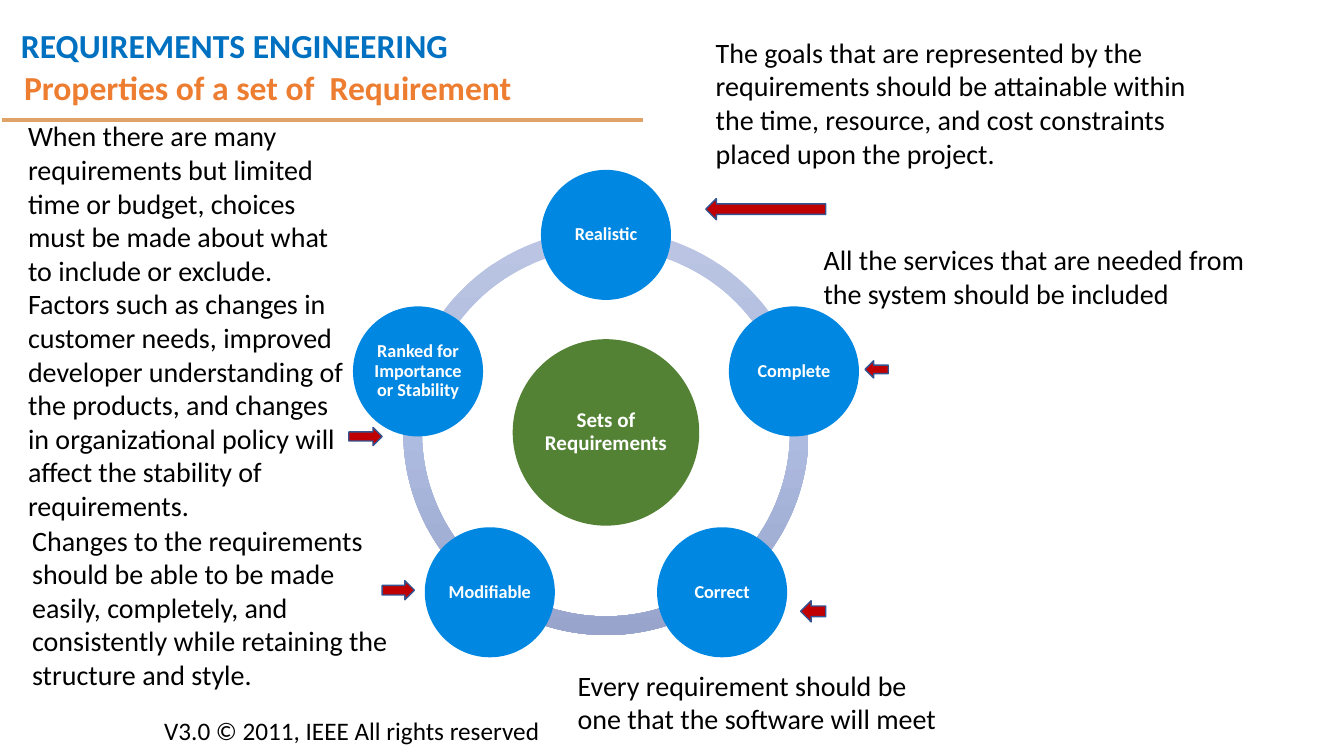
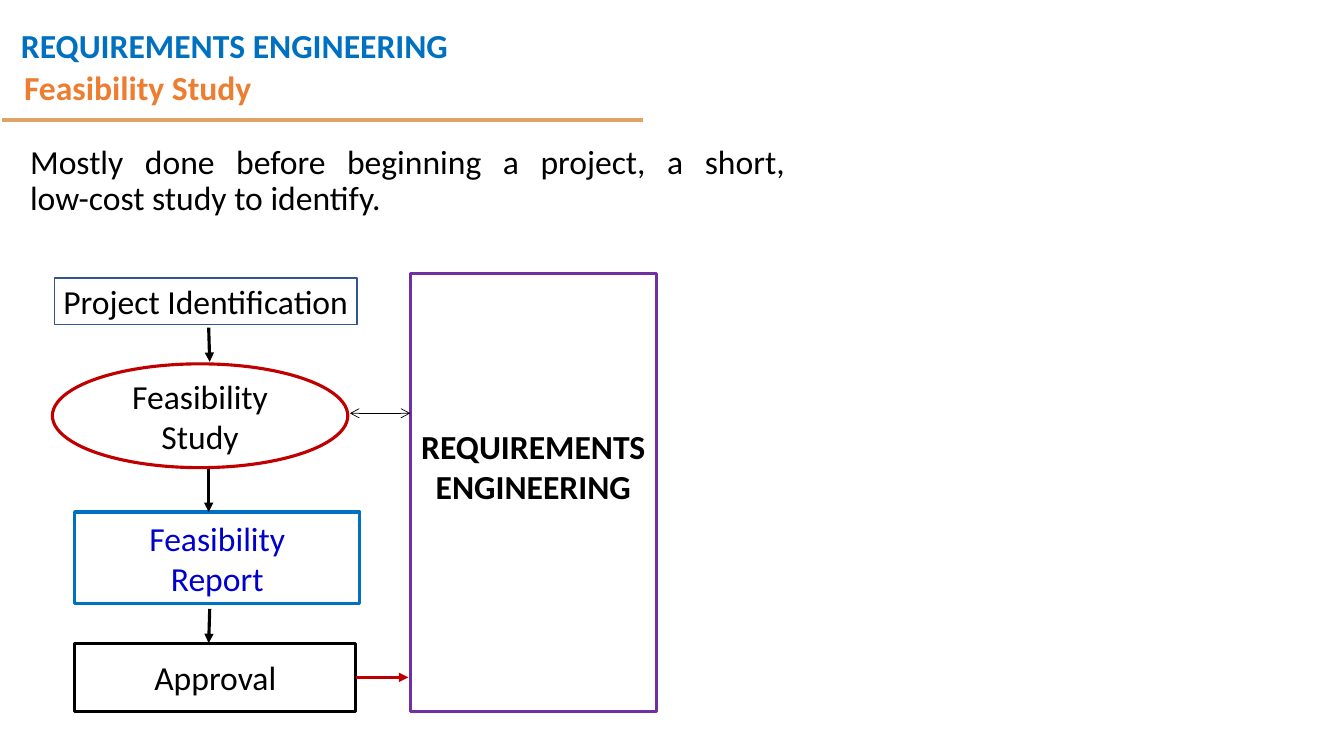
from copy import deepcopy
from dataclasses import dataclass
from math import cos, radians, sin

from lxml.etree import SubElement
from pptx import Presentation
from pptx.dml.color import RGBColor
from pptx.enum.shapes import MSO_CONNECTOR, MSO_SHAPE
from pptx.enum.text import MSO_ANCHOR, PP_ALIGN
from pptx.oxml.ns import qn
from pptx.util import Inches, Pt


@dataclass(frozen=True)
class Theme:
    font: str = "Calibri"
    # Colours
    black: str = "000000"
    white: str = "FFFFFF"
    course: str = "0070C0"
    title: str = "ED7D31"
    rule: str = "DFA267"
    node: str = "0087E1"
    hub: str = "548235"
    ring: tuple = ("BBC5E3", "AEBBE0", "98A4CB")
    red: str = "C00000"
    outline: str = "325491"
    report: str = "0000CC"
    purple: str = "7030A0"
    # Type sizes
    heading_size: int = 24
    note_size: int = 20
    footer_size: int = 18
    hub_size: int = 15
    node_size: int = 13


THEME = Theme()


def color(value):
    return RGBColor.from_string(value)


class Deck:
    """Holds the theme, the presentation and the current page."""

    def __init__(self, theme):
        self.theme = theme
        self.deck = Presentation()
        self.deck.slide_width = Inches(13.33)
        self.deck.slide_height = Inches(7.5)
        self.page = None

    def add_page(self, title):
        theme = self.theme
        self.page = self.deck.slides.add_slide(self.deck.slide_layouts[6])
        self.text((0.11, 0, 4.61, 0.64), "REQUIREMENTS ENGINEERING", theme.heading_size,
                  theme.course, bold=True, spacing=1.5)
        self.line((0.02, 1.19), (6.38, 1.19), theme.rule, 3)
        self.text((0.14, 0.58, 11.5, 0.61), title, theme.heading_size, theme.title,
                  bold=True, spacing=0.9, anchor=MSO_ANCHOR.MIDDLE)

    def fill_frame(self, frame, text, size, text_color, bold=False, align=PP_ALIGN.LEFT,
                   spacing=None, anchor=MSO_ANCHOR.TOP):
        frame.word_wrap = True
        frame.vertical_anchor = anchor
        frame.text = text
        for para in frame.paragraphs:
            para.alignment = align
            if spacing:
                para.line_spacing = spacing
            para.font.name = self.theme.font
            para.font.size = Pt(size)
            para.font.bold = bold
            para.font.color.rgb = color(text_color)

    def text(self, at, text, size, text_color=THEME.black, **style):
        box = self.page.shapes.add_textbox(*map(Inches, at))
        self.fill_frame(box.text_frame, text, size, text_color, **style)

    def shape(self, kind, at, fill=None, line=None, width=1):
        shape = self.page.shapes.add_shape(kind, *map(Inches, at))
        shape.shadow.inherit = False
        if fill:
            shape.fill.solid()
            shape.fill.fore_color.rgb = color(fill)
        else:
            shape.fill.background()
        if line:
            shape.line.color.rgb = color(line)
            shape.line.width = Pt(width)
        else:
            shape.line.fill.background()
        return shape

    def label(self, shape, text, size, text_color, inset=0.02, lift=0, **style):
        """Centre text in a shape; lift raises it by widening the bottom margin."""
        frame = shape.text_frame
        frame.margin_left = frame.margin_right = frame.margin_top = Inches(inset)
        frame.margin_bottom = Inches(inset + lift)
        self.fill_frame(frame, text, size, text_color, align=PP_ALIGN.CENTER,
                        anchor=MSO_ANCHOR.MIDDLE, **style)

    def disc(self, center, diameter, fill, text, size):
        x, y = (middle - diameter / 2 for middle in center)
        disc = self.shape(MSO_SHAPE.OVAL, (x, y, diameter, diameter), fill)
        self.label(disc, text, size, self.theme.white, bold=True, spacing=0.9)

    def arc(self, center, diameter, start, end):
        x, y = (middle - diameter / 2 for middle in center)
        arc = self.shape(MSO_SHAPE.BLOCK_ARC, (x, y, diameter, diameter))
        # Angles are stored as 60000ths of a degree, scaled by 100000
        for index, value in enumerate((start * 0.6, end * 0.6, 0.046)):
            arc.adjustments[index] = value
        arc.fill.gradient()
        arc.fill.gradient_angle = 270
        stops = arc._element.spPr.find(".//" + qn("a:gsLst"))
        stops.append(deepcopy(stops[0]))
        for index, stop in enumerate(arc.fill.gradient_stops):
            stop.position = index / 2
            stop.color.rgb = color(self.theme.ring[index])

    def line(self, start, end, line_color, width, head=None, tail=None):
        line = self.page.shapes.add_connector(
            MSO_CONNECTOR.STRAIGHT, *map(Inches, (*start, *end)))
        line.line.color.rgb = color(line_color)
        line.line.width = Pt(width)
        outline = line._element.spPr.find(qn("a:ln"))
        for tag, kind in (("a:headEnd", head), ("a:tailEnd", tail)):
            if kind:
                SubElement(outline, qn(tag), type=kind)
        SubElement(line._element.spPr, qn("a:effectLst"))
        return line


def properties_page(deck):
    theme = deck.theme
    deck.add_page("Properties of a set of  Requirement")
    deck.text((1.53, 7.05, 4.1, 0.4), "V3.0 © 2011, IEEE All rights reserved",
              theme.footer_size)

    # Ring of properties around the hub
    center, radius, step = (6.01, 4.29), 1.96, 72
    properties = ("Realistic", "Complete", "Correct", "Modifiable",
                  "Ranked for Importance or Stability")
    angles = [(270 + step * index) % 360 for index in range(len(properties))]
    for angle in angles:
        deck.arc(center, 4.02, angle, (angle + step) % 360)
    deck.disc(center, 1.85, theme.hub, "Sets of Requirements", theme.hub_size)
    for angle, name in zip(angles, properties):
        spot = (center[0] + radius * cos(radians(angle)),
                center[1] + radius * sin(radians(angle)))
        deck.disc(spot, 1.29, theme.node, name, theme.node_size)

    # Explanations
    notes = (
        ((7, 0.3, 4.92, 1.45),
         "The goals that are represented by the requirements should be attainable "
         "within the time, resource, and cost constraints placed upon the project."),
        ((8.07, 2.36, 4.52, 0.77),
         "All the services that are needed from the system should be included"),
        ((5.63, 6.58, 3.78, 0.77),
         "Every requirement should be one that the software will meet"),
        ((0.22, 5.14, 3.76, 1.78),
         "Changes to the requirements should be able to be made easily, completely, "
         "and consistently while retaining the structure and style."),
        ((0.18, 1.13, 3.44, 4.14),
         "When there are many requirements but limited time or budget, choices must "
         "be made about what to include or exclude. Factors such as changes in "
         "customer needs, improved developer understanding of the products, and "
         "changes in organizational policy will affect the stability of requirements."),
    )
    for at, note in notes:
        deck.text(at, note, theme.note_size)

    # Arrows from explanations to properties
    left, right = MSO_SHAPE.LEFT_ARROW, MSO_SHAPE.RIGHT_ARROW
    for kind, at in (
        (left, (7, 1.97, 1.19, 0.21)),
        (left, (8.58, 3.58, 0.23, 0.17)),
        (left, (7.94, 5.96, 0.25, 0.21)),
        (right, (3.79, 5.76, 0.32, 0.19)),
        (right, (3.46, 4.24, 0.33, 0.18)),
    ):
        deck.shape(kind, at, theme.red, theme.outline)


def feasibility_page(deck):
    theme = deck.theme
    deck.add_page("Feasibility Study")
    deck.text((0.2, 1.39, 7.9, 0.9),
              "Mostly done before beginning a project, a short, \v"
              "low-cost study to identify.",
              theme.heading_size, align=PP_ALIGN.JUSTIFY, spacing=0.9)

    # Steps of the study
    def step(at, text, line, width=2.25, kind=MSO_SHAPE.RECTANGLE,
             text_color=theme.black, **style):
        shape = deck.shape(kind, at, line=line, width=width)
        deck.label(shape, text, theme.heading_size, text_color, **style)
        return shape

    step((0.54, 2.76, 3, 0.46), "Project Identification", theme.outline, 1)
    step((0.52, 3.61, 2.93, 1.03), "Feasibility\nStudy", theme.red, kind=MSO_SHAPE.OVAL)
    step((0.74, 5.08, 2.83, 0.91), "Feasibility\nReport", theme.course,
         text_color=theme.report)
    approval = step((0.74, 6.38, 2.79, 0.68), "Approval", theme.black)
    step((4.07, 2.71, 2.44, 4.35), "REQUIREMENTS\nENGINEERING", theme.purple,
         lift=0.52, bold=True)

    # Flow between the steps
    for start, end in (
        ((2.07, 3.25), (2.08, 3.59)),
        ((2.07, 4.65), (2.07, 5.08)),
        ((2.08, 6.04), (2.07, 6.38)),
    ):
        deck.line(start, end, theme.black, 2.25, tail="triangle")
    deck.line((3.47, 4.1), (4.07, 4.1), theme.black, 0.5, head="arrow", tail="arrow")
    approved = deck.line((3.53, 6.72), (4.05, 6.72), theme.red, 2.25, tail="triangle")
    approved.begin_connect(approval, 3)


def main():
    deck = Deck(THEME)
    properties_page(deck)
    feasibility_page(deck)
    deck.deck.save("out.pptx")


if __name__ == "__main__":
    main()
